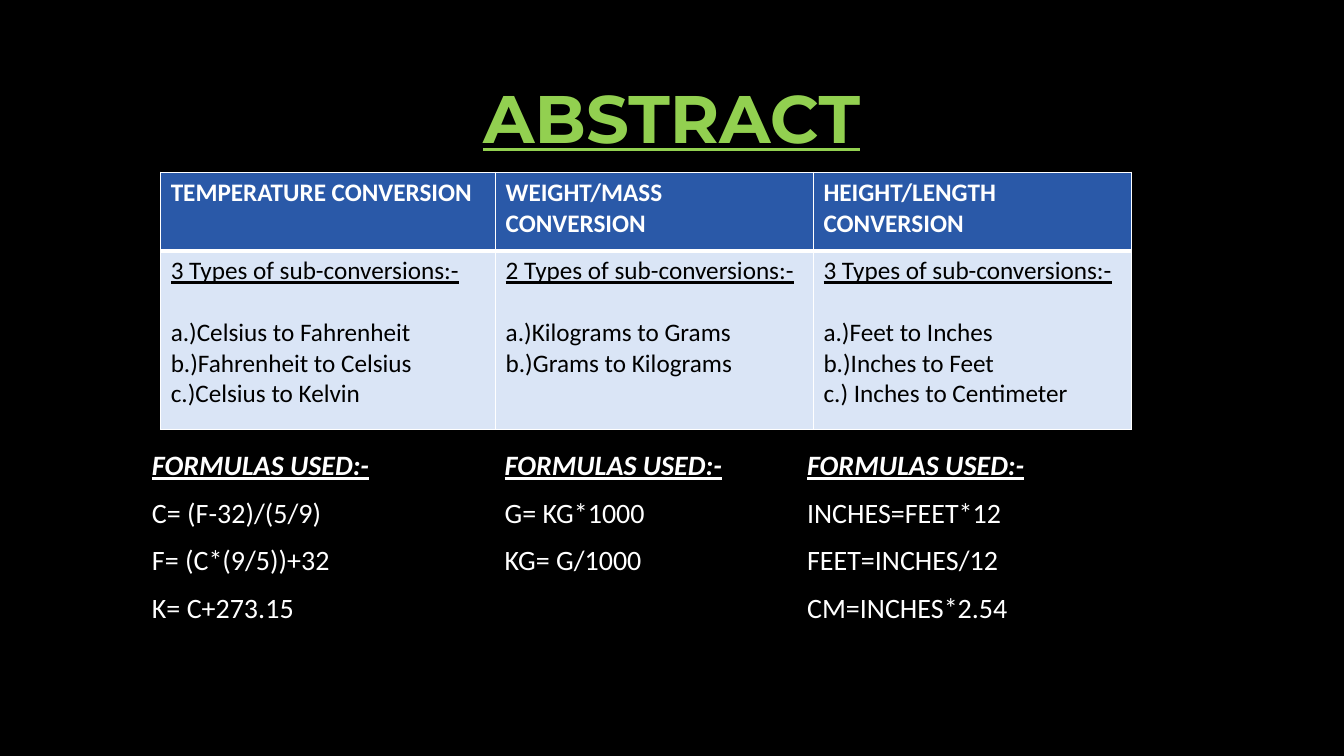
from lxml import etree
from pptx import Presentation
from pptx.dml.color import RGBColor
from pptx.enum.text import MSO_ANCHOR, PP_ALIGN
from pptx.oxml.ns import qn
from pptx.util import Cm, Pt

CENTER = PP_ALIGN.CENTER
TOP, BOTTOM = MSO_ANCHOR.TOP, MSO_ANCHOR.BOTTOM
COLORS = {"back": "000000", "title": "92D050", "head": "2A59A8",
          "body": "DAE5F6", "light": "FFFFFF", "dark": "000000"}


class Deck:
    """Holds the style and the current slide."""

    def __init__(self):
        self.prs = Presentation()
        self.prs.slide_width, self.prs.slide_height = Cm(33.87), Cm(19.05)
        self.slide = self.prs.slides.add_slide(self.prs.slide_layouts[6])
        self.paint(self.slide.background.fill, "back")

    def paint(self, fill, color):
        fill.solid()
        fill.fore_color.rgb = RGBColor.from_string(COLORS[color])

    def style(self, run, size, color, face="Calibri", bold=False, under=False, slant=False):
        font = run.font
        font.name, font.size = face, Pt(size)
        font.bold, font.underline, font.italic = bold, under, slant
        font.color.rgb = RGBColor.from_string(COLORS[color])

    def box(self, left, top, width, height, anchor):
        shape = self.slide.shapes.add_textbox(Cm(left), Cm(top), Cm(width), Cm(height))
        frame = shape.text_frame
        frame.word_wrap, frame.vertical_anchor = True, anchor
        return frame

    def title(self, text, *place):
        frame = self.box(*place, BOTTOM)
        frame.text = text
        par = frame.paragraphs[0]
        par.alignment = CENTER
        self.style(par.runs[0], 48, "title", "Montserrat", bold=True, under=True)

    def border(self, cell, bottom):
        props = cell._tc.get_or_add_tcPr()
        sides = {"lnL": 1, "lnR": 1, "lnT": 1, "lnB": bottom}
        for spot, (side, width) in enumerate(sides.items()):
            line = etree.Element(qn("a:" + side), w=str(Pt(width)))
            fill = etree.SubElement(line, qn("a:solidFill"))
            etree.SubElement(fill, qn("a:srgbClr"), val=COLORS["light"])
            props.insert(spot, line)

    def table(self, topics, left, top, widths, heights):
        frame = self.slide.shapes.add_table(
            len(heights), len(widths), Cm(left), Cm(top), Cm(sum(widths)), Cm(sum(heights)))
        grid = frame.table
        for row, height in zip(grid.rows, heights):
            row.height = Cm(height)
        for col, (head, count, items) in enumerate(topics):
            grid.columns[col].width = Cm(widths[col])
            top_cell, low_cell = grid.cell(0, col), grid.cell(1, col)
            self.paint(top_cell.fill, "head")
            self.border(top_cell, 3)
            top_cell.text_frame.text = head
            self.style(top_cell.text_frame.paragraphs[0].runs[0], 18, "light", bold=True)
            self.paint(low_cell.fill, "body")
            self.border(low_cell, 1)
            lines = [f"{count} Types of sub-conversions:-"] + items
            low_cell.text_frame.text = "\n".join(lines)
            pars = low_cell.text_frame.paragraphs
            pars[0].space_after = Pt(22)
            for par in pars:
                self.style(par.runs[0], 18, "dark", under=par is pars[0])

    def columns(self, rows, stops, *place):
        frame = self.box(*place, TOP)
        for index, row in enumerate(rows):
            par = frame.add_paragraph() if index else frame.paragraphs[0]
            par.space_after = Pt(10)
            tabs = etree.SubElement(par._p.get_or_add_pPr(), qn("a:tabLst"))
            for stop in stops:
                etree.SubElement(tabs, qn("a:tab"), pos=str(Cm(stop)), algn="l")
            for col, text in enumerate(row):
                if col:
                    gap = par.add_run()
                    gap.text = "\t"
                    self.style(gap, 20, "light")
                if text:
                    run = par.add_run()
                    run.text = text
                    head = index == 0
                    self.style(run, 20, "light", bold=head, under=head, slant=head)


def main():
    deck = Deck()
    deck.title("ABSTRACT", 4.23, 1.73, 25.4, 2.34)
    topics = [
        ("TEMPERATURE CONVERSION", 3,
         ["a.)Celsius to Fahrenheit", "b.)Fahrenheit to Celsius", "c.)Celsius to Kelvin"]),
        ("WEIGHT/MASS CONVERSION", 2,
         ["a.)Kilograms to Grams", "b.)Grams to Kilograms"]),
        ("HEIGHT/LENGTH CONVERSION", 3,
         ["a.)Feet to Inches", "b.)Inches to Feet", "c.) Inches to Centimeter"]),
    ]
    deck.table(topics, 4.05, 4.34, [8.44, 8.01, 8.01], [1.98, 4.5])
    rows = [
        ["FORMULAS USED:-"] * 3,
        ["C= (F-32)/(5/9)", "G= KG*1000", "INCHES=FEET*12"],
        ["F= (C*(9/5))+32", "KG= G/1000", "FEET=INCHES/12"],
        ["K= C+273.15", "", "CM=INCHES*2.54"],
    ]
    deck.columns(rows, [8.89, 16.51], 3.58, 11.15, 25.4, 6.81)
    deck.prs.save("out.pptx")


if __name__ == "__main__":
    main()
